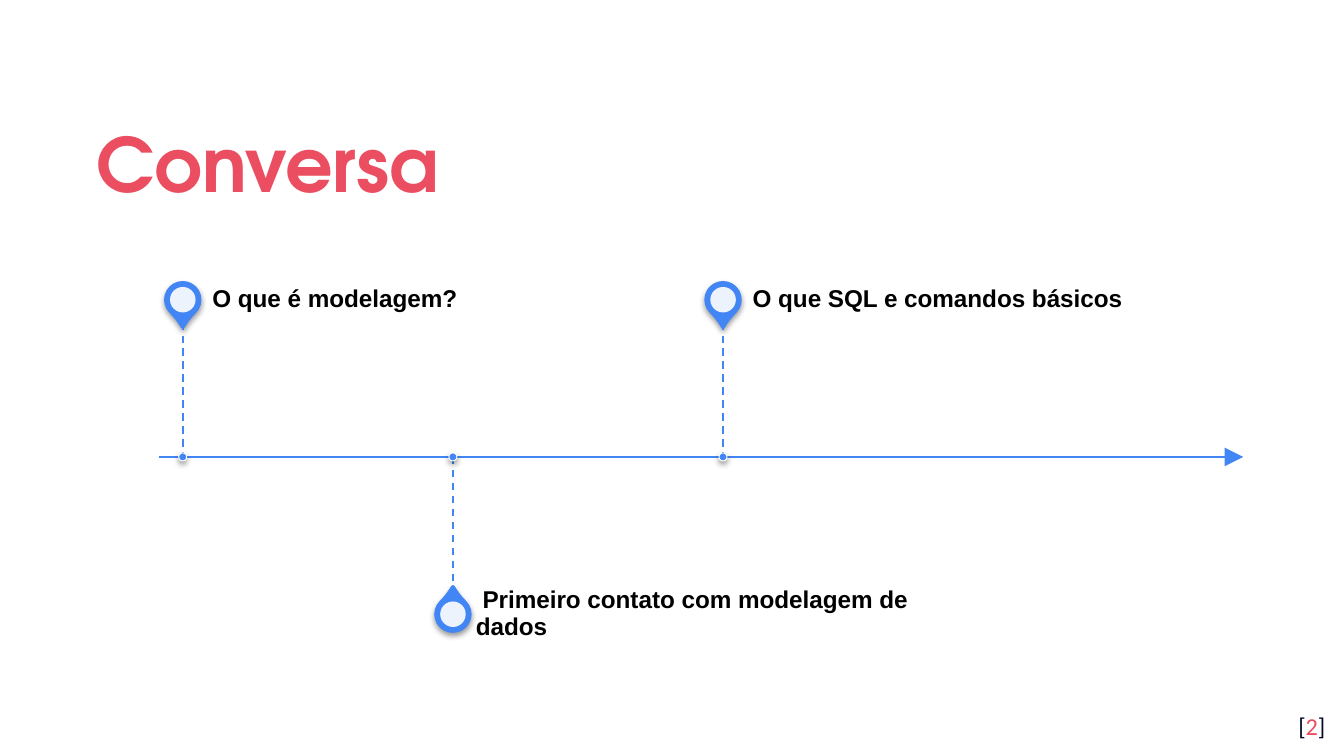
import pptx
import pptx.util
import pptx.dml.color
import pptx.enum.dml
import pptx.enum.shapes
import pptx.enum.text
import pptx.oxml
import pptx.oxml.ns
from lxml import etree

Inches, Pt = pptx.util.Inches, pptx.util.Pt
SHAPE = pptx.enum.shapes.MSO_SHAPE
ANCHOR = pptx.enum.text.MSO_ANCHOR
ALIGN = pptx.enum.text.PP_ALIGN

COLORS = {"blue": "4285F4", "red": "EA4E60", "navy": "040A24",
          "white": "FFFFFF", "black": "000000"}

TITLE = "Conversa"
PAGE_NUMBER = [("[", "navy"), ("2", "red"), ("]", "navy")]
# Each label opens with a no-break space that sets it off from its pin.
MILESTONES = [
    (" O que é modelagem?", "above"),
    (" Primeiro contato com modelagem de dados", "below"),
    (" O que SQL e comandos básicos", "above"),
]

SLIDE_WIDTH = 10
SLIDE_HEIGHT = SLIDE_WIDTH * 9 / 16
AXIS_Y, AXIS_LEFT, AXIS_RIGHT = 3.4, 1.18, 9.25
FIRST_X, STEP_X = 1.36, 2.01
STEM, PIN_OFFSET = 1.0, 1.17
PIN, HOLE, DOT = 0.25, 0.19, 0.06
LABEL_GAP, LABEL_W, LABEL_H = 0.17, 3.35, 0.35
SIDES = {"above": (-1, 135), "below": (1, 315)}  # direction, pin rotation


def rgb(name):
    return pptx.dml.color.RGBColor.from_string(COLORS[name])


def add_effects(shape, content=""):
    """Give the shape its own effect list; an empty one means no shadow."""
    shape._element.spPr.append(pptx.oxml.parse_xml(
        f"<a:effectLst {pptx.oxml.ns.nsdecls('a')}>{content}</a:effectLst>"))


def add_soft_shadow(shape):
    add_effects(shape, f'<a:outerShdw blurRad="{Pt(3.1)}" dist="{Pt(1.6)}" dir="5400000" '
                       f'algn="ctr" rotWithShape="0"><a:srgbClr val="{COLORS["black"]}">'
                       '<a:alpha val="38000"/></a:srgbClr></a:outerShdw>')


def add_text(slide, box, runs, font, size, bold=False, anchor=ANCHOR.TOP,
             align=ALIGN.LEFT, spacing=None, insets=(0.1, 0.1, 0.1, 0.1)):
    frame = slide.shapes.add_textbox(*map(Inches, box)).text_frame
    frame.word_wrap = True
    frame.vertical_anchor = anchor
    (frame.margin_left, frame.margin_top,
     frame.margin_right, frame.margin_bottom) = map(Inches, insets)
    paragraph = frame.paragraphs[0]
    paragraph.alignment = align
    paragraph.line_spacing = spacing
    paragraph.font.name, paragraph.font.size, paragraph.font.bold = font, Pt(size), bold
    for text, color in runs:
        run = paragraph.add_run()
        run.text = text
        run.font.color.rgb = rgb(color)


def add_line(slide, start, end, width):
    line = slide.shapes.add_connector(pptx.enum.shapes.MSO_CONNECTOR.STRAIGHT,
                                      *map(Inches, start + end))
    line.line.color.rgb = rgb("blue")
    line.line.width = Pt(width)
    return line


def add_centred(slide, kind, x, y, size, fill, outline=None, width=0):
    shape = slide.shapes.add_shape(kind, Inches(x - size / 2), Inches(y - size / 2),
                                   Inches(size), Inches(size))
    shape.fill.solid()
    shape.fill.fore_color.rgb = rgb(fill)
    if outline:
        shape.line.color.rgb = rgb(outline)
        shape.line.width = Pt(width)
    else:
        shape.line.fill.background()
    return shape


def add_milestone(slide, x, label, side):
    direction, rotation = SIDES[side]
    pin_y = AXIS_Y + direction * PIN_OFFSET

    pin = add_centred(slide, SHAPE.TEAR, x, pin_y, PIN, "blue", "blue", 2)
    pin.adjustments[0] = 1.15
    pin.rotation = rotation
    add_soft_shadow(pin)

    hole = add_centred(slide, SHAPE.OVAL, x, pin_y, HOLE, "white")
    hole.shadow.inherit = False
    white = hole._element.spPr.find(".//" + pptx.oxml.ns.qn("a:srgbClr"))
    etree.SubElement(white, pptx.oxml.ns.qn("a:alpha"), val="90000")

    add_text(slide, (x + LABEL_GAP, pin_y - LABEL_H / 2, LABEL_W, LABEL_H),
             [(label, "black")], "Arial", 13, bold=True, anchor=ANCHOR.MIDDLE,
             spacing=0.9, insets=(0, 0, 0.09, 0))

    stem_ends = sorted([AXIS_Y, AXIS_Y + direction * STEM])
    stem = add_line(slide, (x, stem_ends[0]), (x, stem_ends[1]), 1)
    stem.line.dash_style = pptx.enum.dml.MSO_LINE.DASH
    add_effects(stem)

    add_soft_shadow(add_centred(slide, SHAPE.OVAL, x, AXIS_Y, DOT, "blue", "white", 0.5))


def main():
    deck = pptx.Presentation()
    deck.slide_width, deck.slide_height = Inches(SLIDE_WIDTH), Inches(SLIDE_HEIGHT)
    slide = deck.slides.add_slide(deck.slide_layouts[6])

    add_text(slide, (0.62, 0.7, 8.77, 0.92), [(TITLE, "red")], "TeX Gyre Adventor", 40,
             bold=True, anchor=ANCHOR.MIDDLE, spacing=1.15)
    add_text(slide, (9.36, 5.19, 0.6, 0.43), PAGE_NUMBER, "Calibri", 13, align=ALIGN.RIGHT)

    axis = add_line(slide, (AXIS_LEFT, AXIS_Y), (AXIS_RIGHT, AXIS_Y), 1.5)
    etree.SubElement(axis.line._get_or_add_ln(), pptx.oxml.ns.qn("a:tailEnd"),
                     type="triangle", w="lg", len="lg")
    add_effects(axis)

    for index, (label, side) in enumerate(MILESTONES):
        add_milestone(slide, FIRST_X + index * STEP_X, label, side)

    deck.save("out.pptx")


if __name__ == "__main__":
    main()
